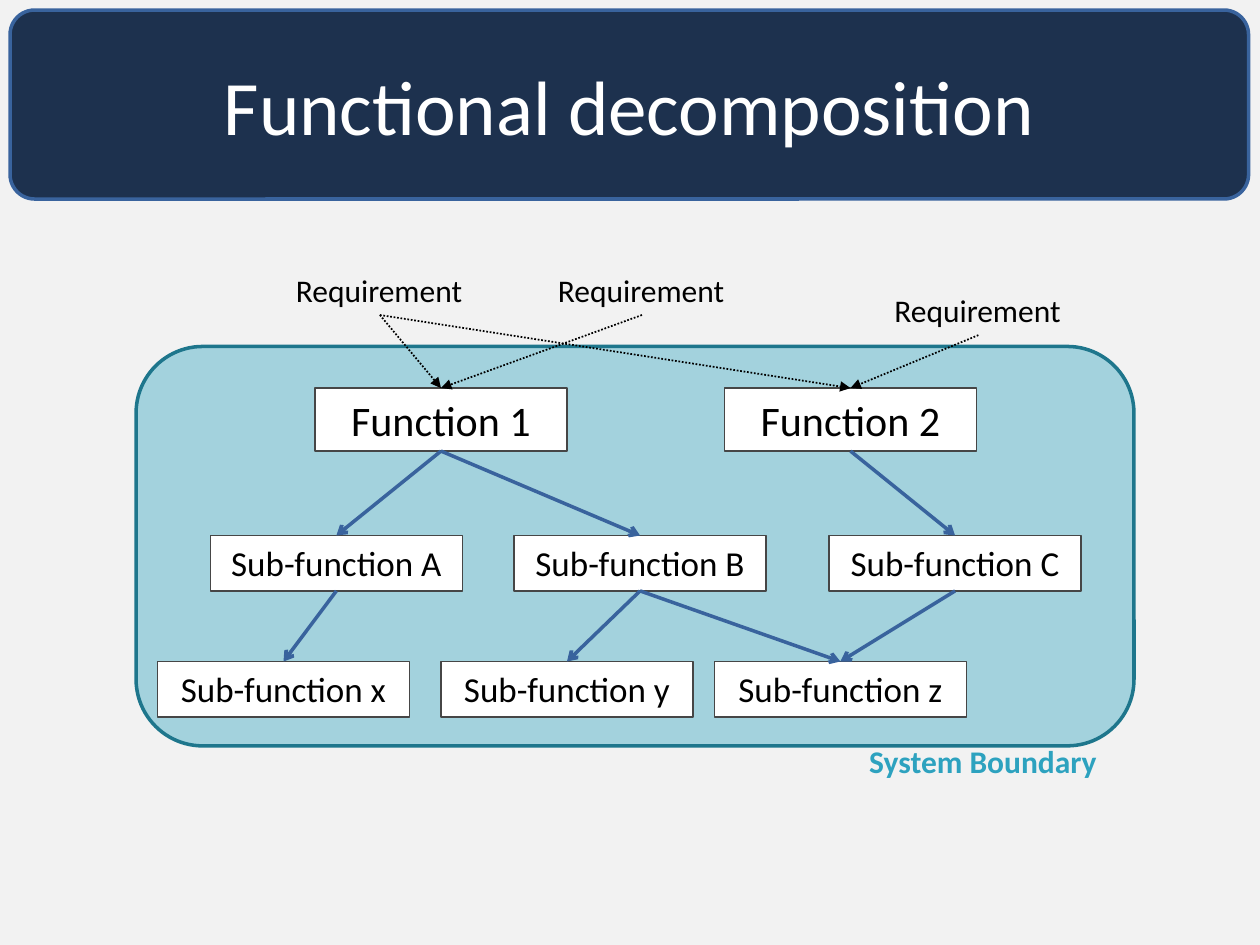
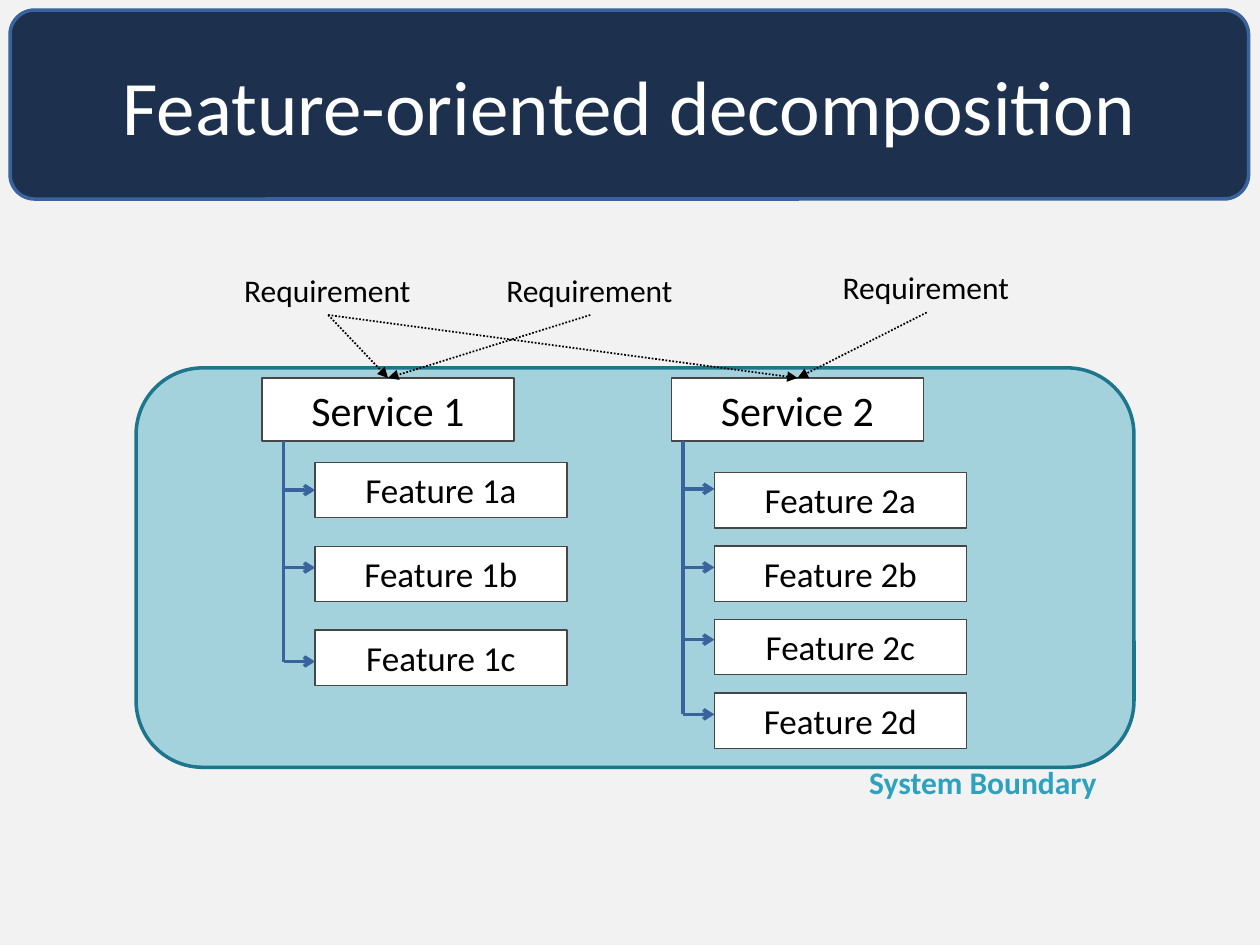
from pptx import Presentation
from pptx.dml.color import RGBColor
from pptx.enum.dml import MSO_LINE as Dash
from pptx.enum.shapes import MSO_CONNECTOR as Link, MSO_SHAPE as Form
from pptx.enum.text import MSO_ANCHOR as Anchor, MSO_AUTO_SIZE as Fit, PP_ALIGN as Align
from pptx.oxml.ns import qn
from pptx.util import Inches, Pt
from lxml.etree import SubElement

FONT = "Calibri"
PAPER, NAVY, BLUE = "F2F2F2", "1D314E", "39639D"
TEAL, RIM, GREY = "2DA2BF", "1E768C", "464646"
BLACK, WHITE = "000000", "FFFFFF"
TOP, BOTTOM, LEFT = 0, 2, 1
WIDE, TALL, LOW = 2, 0.5, 0.44


def rgb(code):
    return RGBColor.from_string(code)


def write(shape, words, size, color=BLACK, align=Align.CENTER, bold=False):
    frame = shape.text_frame
    frame.text = words
    para = frame.paragraphs[0]
    para.alignment = align
    font = para.runs[0].font
    font.name, font.size, font.bold = FONT, Pt(size), bold
    font.color.rgb = rgb(color)
    return frame


def panel(slide, form, box, fill, edge, width):
    shape = slide.shapes.add_shape(form, *map(Inches, box))
    shape.shadow.inherit = False
    shape.fill.solid()
    shape.fill.fore_color.rgb = rgb(fill)
    shape.line.color.rgb = rgb(edge)
    shape.line.width = Pt(width)
    return shape


def node(slide, left, top, words, main=False):
    """Add a white box, taller and with larger text when it is a main one."""
    box = left, top, WIDE, TALL if main else LOW
    shape = panel(slide, Form.RECTANGLE, box, WHITE, GREY, 0.75)
    frame = write(shape, words, 24 if main else 20)
    frame.vertical_anchor = Anchor.TOP
    frame.auto_size = Fit.SHAPE_TO_FIT_TEXT
    return shape


def label(slide, left, top, width, words, color=BLACK, bold=False, wrap=True):
    shape = slide.shapes.add_textbox(*map(Inches, (left, top, width, 0.4)))
    frame = write(shape, words, 18, color, Align.LEFT, bold)
    frame.word_wrap = wrap
    frame.auto_size = Fit.SHAPE_TO_FIT_TEXT
    return shape


def draw(slide, start=(0, 0), end=(0, 0), color=BLUE, width=2, head="arrow"):
    ends = map(Inches, (*start, *end))
    line = slide.shapes.add_connector(Link.STRAIGHT, *ends)
    line.line.color.rgb = rgb(color)
    line.line.width = Pt(width)
    if head:
        SubElement(line.line._get_or_add_ln(), qn("a:tailEnd"), type=head)
    SubElement(line._element.spPr, qn("a:effectLst"))
    return line


def join(slide, upper, lower, **style):
    """Link the bottom of one box to the top of another."""
    line = draw(slide, **style)
    line.begin_connect(upper, BOTTOM)
    line.end_connect(lower, TOP)
    return line


def base(deck, title):
    """Start a slide with its background and title band."""
    slide = deck.slides.add_slide(deck.slide_layouts[6])
    slide.background.fill.solid()
    slide.background.fill.fore_color.rgb = rgb(PAPER)
    band = panel(slide, Form.ROUNDED_RECTANGLE, (0.08, 0.08, 9.83, 1.5), NAVY, BLUE, 2)
    band.adjustments[0] = 0.13
    write(band, title, 44, WHITE).vertical_anchor = Anchor.MIDDLE
    return slide


def bound(slide, left, top, width=7.92, height=3.17):
    """Add the see-through system boundary and its caption."""
    zone = panel(slide, Form.ROUNDED_RECTANGLE, (left, top, width, height), TEAL, RIM, 2)
    tint = zone.fill._xPr.find(qn("a:solidFill"))[0]
    SubElement(tint, qn("a:alpha"), val="40000")
    label(slide, left + 5.72, top + height - 0.08, 3.2, "System Boundary", TEAL, True)


def needs(slide, left, top, drop, first, second):
    """Add three requirements; the last sits lower by drop."""
    one, two, three = [
        label(slide, left + x, top + y, 1.53, "Requirement", wrap=False)
        for x, y in ((0, 0), (2.08, 0), (4.75, drop))
    ]
    for need, goal in ((one, first), (two, first), (one, second), (three, second)):
        line = join(slide, need, goal, color=BLACK, width=1, head="triangle")
        line.line.dash_style = Dash.ROUND_DOT


def tree(slide, left, top):
    """Add the functions and their two levels of sub-functions."""
    levels = (
        (0.33, "Function ", ((1.42, "1"), (4.67, "2"))),
        (1.5, "Sub-function ", ((0.59, "A"), (3, "B"), (5.5, "C"))),
        (2.5, "Sub-function ", ((0.17, "x"), (2.42, "y"), (4.59, "z"))),
    )
    nodes = {
        key: node(slide, left + x, top + y, stem + key, main=y < 1)
        for y, stem, row in levels
        for x, key in row
    }
    for upper, lower in ("1A", "1B", "2C", "Ax", "By", "Bz", "Cz"):
        join(slide, nodes[upper], nodes[lower])
    return nodes["1"], nodes["2"]


def service(slide, left, top, key, inset, first, last, shifts):
    """Add a service and its features; shifts move arrows off the box middles."""
    root = node(slide, left, top, f"Service {key}", main=True)
    edge = left + inset
    stem = edge - 0.25
    step = (last - first) / (len(shifts) - 1)
    for index, shift in enumerate(shifts):
        y = top + first + index * step
        item = node(slide, edge, y, f"Feature {key}{'abcd'[index]}")
        level = y + LOW / 2 + shift
        arrow = draw(slide, (stem, level), (edge, level))
        if not shift:
            arrow.end_connect(item, LEFT)
    draw(slide, (stem, top + TALL), (stem, level), head=None)
    return root


def functions(deck):
    slide = base(deck, "Functional decomposition")
    bound(slide, 1.08, 2.75)
    needs(slide, 2.25, 2.1, 0.16, *tree(slide, 1.08, 2.75))


def features(deck):
    slide = base(deck, "Feature-oriented decomposition")
    bound(slide, 1.08, 2.92)
    one = service(slide, 2.08, 3, 1, 0.42, 0.67, 2, (0, -0.05, 0.03))
    two = service(slide, 5.33, 3, 2, 0.34, 0.75, 2.5, (-0.09, -0.05, -0.06, -0.05))
    needs(slide, 1.84, 2.1, -0.02, one, two)


def main():
    deck = Presentation()
    deck.slide_width, deck.slide_height = Inches(10), Inches(7.5)
    functions(deck)
    features(deck)
    deck.save("out.pptx")


if __name__ == "__main__":
    main()
